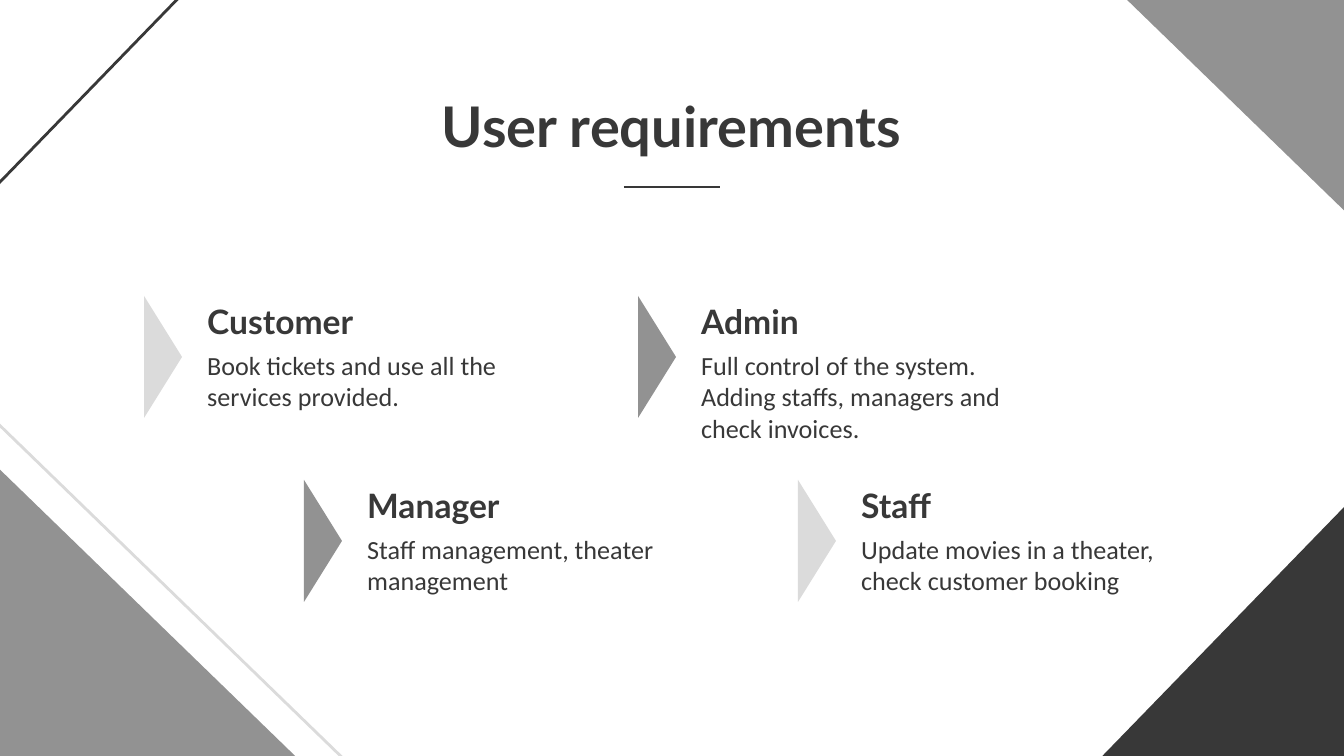
from pptx import Presentation
from pptx import util as u
from pptx.dml.color import RGBColor
from pptx.enum import shapes, text
from pptx.oxml import parse_xml
from pptx.oxml.ns import nsdecls

SCALE = 9144000 / 1344  # EMU in one px
DARK, GRAY, LIGHT = "383838", "929292", "DBDBDB"


def px(*lengths):
    return [u.Emu(round(length * SCALE)) for length in lengths]


def write(box, words, font="Lato", size=18, bold=True, align=text.PP_ALIGN.LEFT,
          anchor=text.MSO_ANCHOR.TOP):
    frame = box.text_frame
    frame.word_wrap = True
    frame.auto_size = text.MSO_AUTO_SIZE.NONE
    frame.vertical_anchor = anchor
    frame.margin_left = frame.margin_right = u.Inches(0.1)
    frame.margin_top = frame.margin_bottom = u.Inches(0.1)
    para = frame.paragraphs[0]
    para.alignment = align
    span = para.add_run()
    span.text = words
    span.font.name = font
    span.font.size = u.Pt(size)
    span.font.bold = bold
    span.font.color.rgb = RGBColor.from_string(DARK)


deck = Presentation()
deck.slide_width, deck.slide_height = px(1344, 756)
page = deck.slides.add_slide(deck.slide_layouts[5])

# Triangles: corner decorations, then one arrow beside each role
corner, arrow = shapes.MSO_SHAPE.RIGHT_TRIANGLE, shapes.MSO_SHAPE.ISOSCELES_TRIANGLE
triangles = [
    (corner, (1075, 474, 310, 301), 270, DARK, None),
    (corner, (-77, 351, 500, 485), 0, None, LIGHT),
    (corner, (-109, 364, 500, 485), 0, GRAY, None),
    (corner, (989, -134, 500, 485), 180, GRAY, None),
    (corner, (-39, -278, 500, 485), 90, None, DARK),
]
roles = [
    ("Customer", "Book tickets and use all the services provided.", LIGHT),
    ("Admin", "Full control of the system. Adding staffs, managers and check invoices.", GRAY),
    ("Manager", "Staff management, theater management", GRAY),
    ("Staff", "Update movies in a theater, check customer booking", LIGHT),
]
for index, (role, duty, color) in enumerate(roles):
    row, column = divmod(index, 2)
    left = 194 + 494 * column + 160 * row
    top = 296 + 184 * row
    heading = page.shapes.add_textbox(*px(left, top, 288, 50))
    write(heading, role, anchor=text.MSO_ANCHOR.MIDDLE)
    body = page.shapes.add_textbox(*px(left, top + 40, 327, 86))
    write(body, duty, font="Calibri", size=14, bold=False)
    triangles.append((arrow, (left - 92, top + 42, 122, 38), 90, color, None))

for preset, place, turn, fill, line in triangles:
    triangle = page.shapes.add_shape(preset, *px(*place))
    triangle.rotation = turn
    triangle.shadow.inherit = False
    if fill:
        triangle.fill.solid()
        triangle.fill.fore_color.rgb = RGBColor.from_string(fill)
        triangle.line.fill.background()
    else:
        triangle.fill.background()
        triangle.line.color.rgb = RGBColor.from_string(line)
        triangle.line.width = u.Pt(1.5)

rule = page.shapes.add_connector(shapes.MSO_CONNECTOR.STRAIGHT, *px(624, 187, 720, 187))
rule.line.color.rgb = RGBColor.from_string(DARK)
rule.line.width = u.Pt(1.5)
rule._element.spPr.append(parse_xml(f"<a:effectLst {nsdecls('a')}/>"))

title = page.shapes.title
title.left, title.top, title.width, title.height = px(105, 78, 1133, 78)
write(title, "User requirements", size=30, align=text.PP_ALIGN.CENTER)

deck.save("out.pptx")
